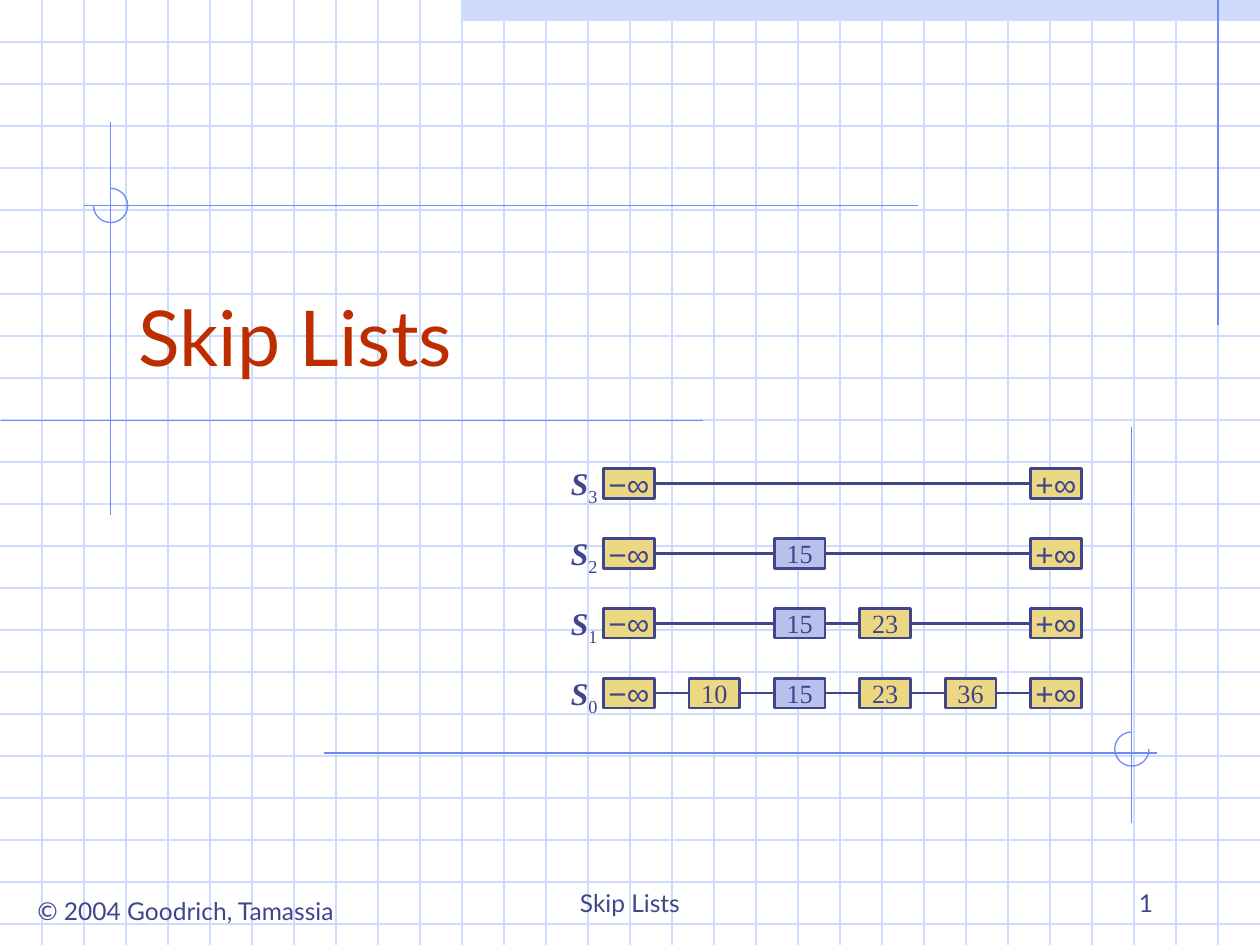
from pptx import Presentation
from pptx.dml.color import RGBColor
from pptx.enum.shapes import MSO_CONNECTOR, MSO_SHAPE
from pptx.enum.text import MSO_ANCHOR, PP_ALIGN
from pptx.oxml.ns import qn
from pptx.util import Pt
from lxml import etree

STRAIGHT = MSO_CONNECTOR.STRAIGHT
RECTANGLE, ARC = MSO_SHAPE.RECTANGLE, MSO_SHAPE.ARC
TOP, MIDDLE, BOTTOM = MSO_ANCHOR.TOP, MSO_ANCHOR.MIDDLE, MSO_ANCHOR.BOTTOM
LEFT, CENTER, RIGHT = PP_ALIGN.LEFT, PP_ALIGN.CENTER, PP_ALIGN.RIGHT
COLORS = {
    "grid": "CFDBFD", "accent": "6F89F7", "title": "BE2D00",
    "ink": "40458C", "node": "ECD882", "highlight": "B7C1EB",
}
SANS, SERIF, SYMBOL = "Lato", "Times New Roman", "Arial"


class SlideBuilder:
    """Draws styled elements on the current slide, with lengths in points."""

    def __init__(self, slide, colors):
        self.slide = slide
        self.colors = colors

    def color(self, name):
        return RGBColor.from_string(self.colors[name])

    def line(self, start, end, color, width=0.75):
        connector = self.slide.shapes.add_connector(
            STRAIGHT, *(Pt(value) for value in (*start, *end)))
        connector.line.color.rgb = self.color(color)
        connector.line.width = Pt(width)
        etree.SubElement(connector._element.spPr, qn("a:effectLst"))
        return connector

    def link(self, left_node, right_node):
        connector = self.line((0, 0), (0, 0), "ink", 1.5)
        connector.begin_connect(left_node, 3)
        connector.end_connect(right_node, 1)

    def rectangle(self, box, fill, outline=None):
        shape = self.slide.shapes.add_shape(RECTANGLE, *map(Pt, box))
        shape.shadow.inherit = False
        shape.fill.solid()
        shape.fill.fore_color.rgb = self.color(fill)
        if outline:
            shape.line.color.rgb = self.color(outline)
            shape.line.width = Pt(1.5)
        else:
            shape.line.fill.background()
        return shape

    def arc(self, center, start_degrees, end_degrees, radius=9.8):
        x, y = center
        shape = self.slide.shapes.add_shape(
            ARC, Pt(x - radius), Pt(y - radius), Pt(2 * radius), Pt(2 * radius))
        shape.shadow.inherit = False
        shape.adjustments[0] = start_degrees * 0.6
        shape.adjustments[1] = end_degrees * 0.6
        shape.fill.background()
        shape.line.color.rgb = self.color("accent")
        shape.line.width = Pt(0.75)

    def run(self, paragraph, text, size, font, color="ink"):
        run = paragraph.add_run()
        run.text = text
        run.font.size = Pt(size)
        run.font.name = font
        run.font.color.rgb = self.color(color)
        return run

    def paragraph(self, shape, align, anchor, wrap):
        frame = shape.text_frame
        frame.word_wrap = wrap
        frame.vertical_anchor = anchor
        paragraph = frame.paragraphs[0]
        paragraph.alignment = align
        return paragraph

    def text(self, box, text, size=14, color="ink", align=CENTER, anchor=BOTTOM, wrap=True):
        shape = self.slide.shapes.add_textbox(*map(Pt, box))
        self.run(self.paragraph(shape, align, anchor, wrap), text, size, SANS, color)

    def node(self, box, text):
        shape = self.rectangle(box, "highlight" if text == "15" else "node", "ink")
        size, font = (18, SYMBOL) if "∞" in text else (15, SERIF)
        self.run(self.paragraph(shape, CENTER, MIDDLE, False), text, size, font)
        return shape

    def level_label(self, box, level):
        shape = self.slide.shapes.add_textbox(*map(Pt, box))
        paragraph = self.paragraph(shape, CENTER, TOP, False)
        letter = self.run(paragraph, "S", 18, SERIF)
        letter.font.bold = letter.font.italic = True
        subscript = self.run(paragraph, str(level), 18, SERIF)
        subscript.font._element.set("baseline", "-25000")


def draw_background(builder, width, height, spacing=24):
    builder.rectangle((264, 0, width - 264, 12), "grid")
    for y in range(spacing, height, spacing):
        builder.line((0, y), (width, y), "grid")
    for x in range(spacing, width, spacing):
        builder.line((x, 0), (x, height), "grid")
    for start, end in (
        ((696, 0), (696, 186)),
        ((63.2, 70), (63.2, 294.5)),
        ((0.5, 240.4), (401.8, 240.4)),
        ((48, 117.4), (524.3, 117.4)),
        ((185, 430.3), (661, 430.3)),
        ((646.6, 244), (646.6, 470.5)),
    ):
        builder.line(start, end, "accent")
    builder.arc((63.2, 117.4), 270, 180)
    builder.arc((646.8, 428), 0, 270)


def draw_skip_list(builder):
    keys = ["−∞", "10", "15", "23", "36", "+∞"]
    levels = {3: [], 2: ["15"], 1: ["15", "23"], 0: ["10", "15", "23", "36"]}
    left, top, column_step, row_step = 344.9, 267.9, 48.8, 39.9
    for row, (level, inner_keys) in enumerate(levels.items()):
        y = top + row * row_step
        builder.level_label((319, y - 6, 29.5, 31.7), level)
        nodes = [
            builder.node((left + keys.index(key) * column_step, y, 29, 17), key)
            for key in ("−∞", *inner_keys, "+∞")
        ]
        for left_node, right_node in zip(nodes, nodes[1:]):
            builder.link(left_node, right_node)


def main():
    width, height = 720, 540
    presentation = Presentation()
    presentation.slide_width = Pt(width)
    presentation.slide_height = Pt(height)
    slide = presentation.slides.add_slide(presentation.slide_layouts[6])
    builder = SlideBuilder(slide, COLORS)
    draw_background(builder, width, height)
    builder.text((72, 131.8, 612, 90), "Skip Lists", 44, "title", LEFT)
    draw_skip_list(builder)
    builder.text((8.6, 508.3, 195, 24.5), "© 2004 Goodrich, Tamassia", anchor=TOP, wrap=False)
    builder.text((246, 492, 228, 36), "Skip Lists")
    builder.text((516, 492, 150, 36), "1", align=RIGHT)
    presentation.save("out.pptx")


if __name__ == "__main__":
    main()
